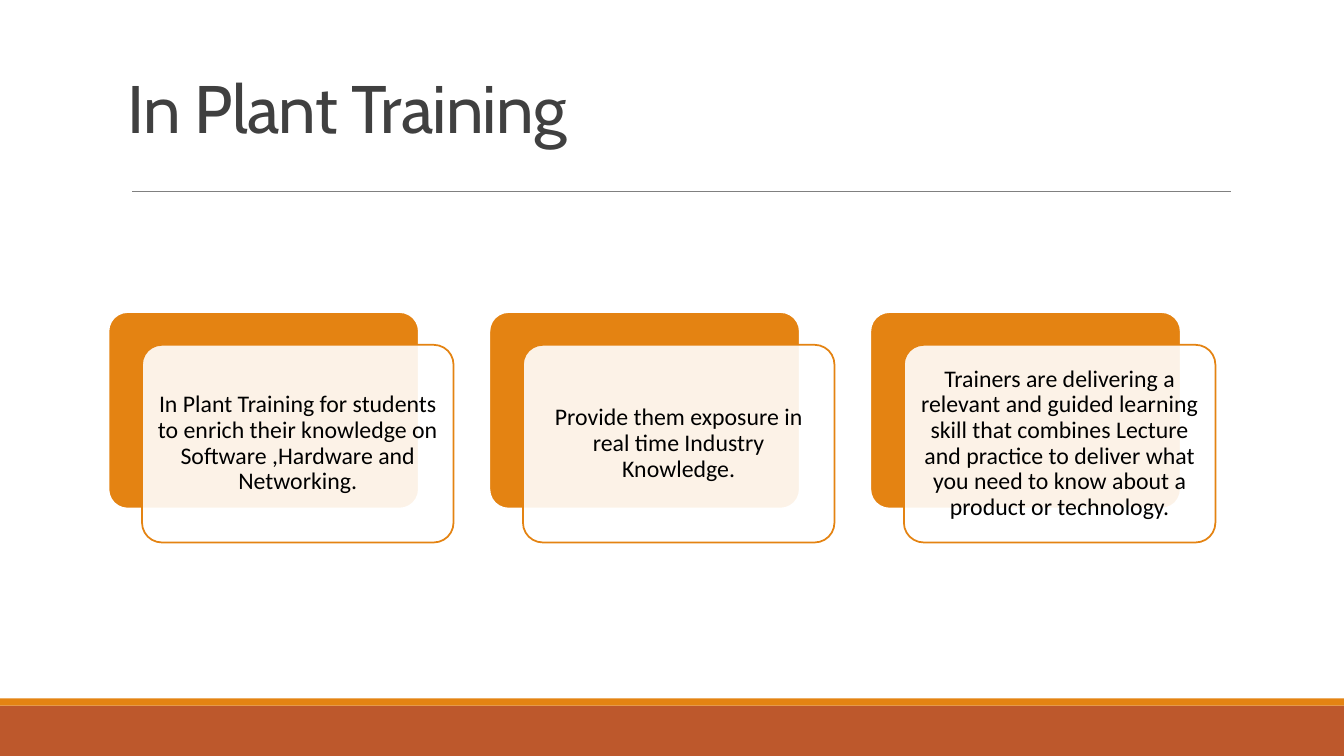
from dataclasses import dataclass

from pptx import Presentation
from pptx.dml.color import RGBColor
from pptx.enum.shapes import MSO_CONNECTOR, MSO_SHAPE
from pptx.enum.text import MSO_ANCHOR, PP_ALIGN
from pptx.oxml.ns import qn
from pptx.oxml.xmlchemy import OxmlElement
from pptx.shapes.autoshape import Shape
from pptx.slide import Slide
from pptx.util import Cm, Pt

COLORS = {
    "orange": "E48312",
    "rust": "BD582C",
    "rule": "808080",
    "title": "404040",
    "text": "000000",
    "white": "FFFFFF",
}
SLIDE_WIDTH, SLIDE_HEIGHT = 33.87, 19.05
CARD_LEFT, CARD_TOP, CARD_PITCH = 2.72, 7.85, 9.6
CARD_WIDTH, CARD_HEIGHT = 7.85, 4.98
FRONT_SHIFT_X, FRONT_SHIFT_Y = 0.86, 0.84


@dataclass(frozen=True)
class Box:
    left: float
    top: float
    width: float
    height: float
    fill: str
    line: str | None = None
    line_width: float = 0
    opacity: int = 100
    rounded: bool = False


FOOTER_BARS = [
    Box(0, 17.78, SLIDE_WIDTH, 1.27, "rust"),
    Box(0, 17.6, SLIDE_WIDTH, 0.18, "orange"),
]
CARD_TEXTS = [
    "In Plant Training for students to enrich their knowledge on "
    "Software ,Hardware and Networking.",
    "Provide them exposure in real time Industry Knowledge.",
    "Trainers are delivering a relevant and guided learning skill that combines "
    "Lecture and practice to deliver what you need to know about a product or technology.",
]


def color(name: str) -> RGBColor:
    return RGBColor.from_string(COLORS[name])


def add_box(slide: Slide, box: Box) -> Shape:
    preset = MSO_SHAPE.ROUNDED_RECTANGLE if box.rounded else MSO_SHAPE.RECTANGLE
    shape = slide.shapes.add_shape(
        preset, Cm(box.left), Cm(box.top), Cm(box.width), Cm(box.height)
    )
    shape.shadow.inherit = False
    if box.rounded:
        shape.adjustments[0] = 0.1
    shape.fill.solid()
    shape.fill.fore_color.rgb = color(box.fill)
    if box.opacity < 100:
        alpha = OxmlElement("a:alpha")
        alpha.set("val", str(box.opacity * 1000))
        shape.fill._xPr.find(qn("a:solidFill"))[0].append(alpha)
    if box.line:
        shape.line.color.rgb = color(box.line)
        shape.line.width = Pt(box.line_width)
    else:
        shape.line.fill.background()
    return shape


def add_card(slide: Slide, left: float, text: str) -> None:
    add_box(slide, Box(left, CARD_TOP, CARD_WIDTH, CARD_HEIGHT,
                       "orange", "white", 2, rounded=True))
    front = add_box(slide, Box(left + FRONT_SHIFT_X, CARD_TOP + FRONT_SHIFT_Y,
                               CARD_WIDTH, CARD_HEIGHT, "white", "orange", 1.25,
                               opacity=90, rounded=True))
    frame = front.text_frame
    frame.word_wrap = True
    frame.vertical_anchor = MSO_ANCHOR.MIDDLE
    frame.margin_left = frame.margin_right = Cm(0.18)
    frame.margin_top = frame.margin_bottom = Cm(0.18)
    frame.text = text
    paragraph = frame.paragraphs[0]
    paragraph.alignment = PP_ALIGN.CENTER
    paragraph.line_spacing = 0.9
    paragraph.font.name = "Calibri"
    paragraph.font.size = Pt(17)
    paragraph.font.color.rgb = color("text")


def add_rule(slide: Slide) -> None:
    rule = slide.shapes.add_connector(
        MSO_CONNECTOR.STRAIGHT, Cm(3.33), Cm(4.83), Cm(31.01), Cm(4.83)
    )
    rule.line.color.rgb = color("rule")
    rule.line.width = Pt(0.5)
    rule._element.spPr.append(OxmlElement("a:effectLst"))


def format_title(slide: Slide) -> None:
    title = slide.shapes.title
    title.left, title.top = Cm(2.97), Cm(1.78)
    title.width, title.height = Cm(27.94), Cm(3.81)
    frame = title.text_frame
    frame.word_wrap = True
    frame.vertical_anchor = MSO_ANCHOR.BOTTOM
    frame.margin_bottom = Cm(1.88)
    frame.text = "In Plant Training"
    paragraph = frame.paragraphs[0]
    paragraph.alignment = PP_ALIGN.LEFT
    paragraph.line_spacing = 0.85
    paragraph.font.name = "Cabin"
    paragraph.font.size = Pt(48)
    paragraph.font.color.rgb = color("title")
    paragraph._p.pPr.find(qn("a:defRPr")).set("spc", "-50")


def main() -> None:
    presentation = Presentation()
    presentation.slide_width = Cm(SLIDE_WIDTH)
    presentation.slide_height = Cm(SLIDE_HEIGHT)
    slide = presentation.slides.add_slide(presentation.slide_layouts[5])
    for bar in FOOTER_BARS:
        add_box(slide, bar)
    add_rule(slide)
    format_title(slide)
    for index, text in enumerate(CARD_TEXTS):
        add_card(slide, CARD_LEFT + index * CARD_PITCH, text)
    presentation.save("out.pptx")


if __name__ == "__main__":
    main()
